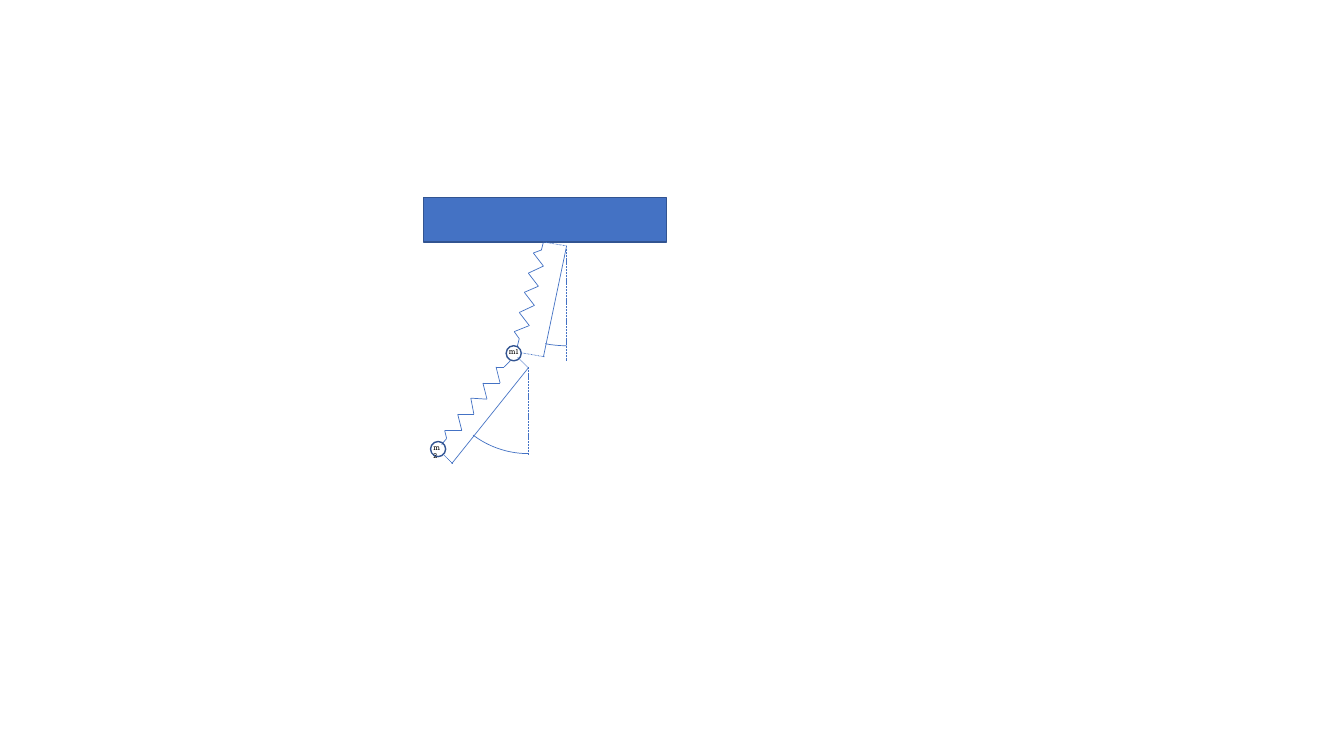
from itertools import pairwise
from lxml.etree import SubElement
from pptx import Presentation
from pptx.dml.color import RGBColor
from pptx.enum.dml import MSO_LINE
from pptx.enum.shapes import MSO_CONNECTOR, MSO_SHAPE
from pptx.enum.text import MSO_AUTO_SIZE
from pptx.oxml.ns import qn
from pptx.util import Pt

PX = 9144
BLUE = RGBColor(0x44, 0x72, 0xC4)
NAVY = RGBColor(0x32, 0x54, 0x91)
BLACK = RGBColor(0, 0, 0)

deck = Presentation()
deck.slide_width = 1333 * PX
deck.slide_height = 750 * PX
slide = deck.slides.add_slide(deck.slide_layouts[6])


def add_line(start, end, dash=None):
    ends = [n * PX for n in (*start, *end)]
    line = slide.shapes.add_connector(MSO_CONNECTOR.STRAIGHT, *ends)
    line.line.color.rgb = BLUE
    line.line.width = Pt(0.5)
    if dash:
        line.line.dash_style = dash
    SubElement(line._element.spPr, qn("a:effectLst"))


def add_form(kind, box, fill, color, width):
    form = slide.shapes.add_shape(kind, *[n * PX for n in box])
    form.shadow.inherit = False
    if fill:
        form.fill.solid()
        form.fill.fore_color.rgb = fill
    else:
        form.fill.background()
    form.line.color.rgb = color
    form.line.width = Pt(width)
    return form


upper = [(539, 240), (537, 248), (529, 251), (539, 264), (524, 271),
         (534, 284), (520, 290), (530, 303), (515, 310), (525, 323),
         (510, 329), (515, 336), (513, 344)]
lower = [(506, 358), (500, 364), (492, 364), (496, 380), (479, 380),
         (483, 396), (467, 395), (470, 411), (454, 411), (458, 427),
         (441, 427), (443, 435), (438, 441)]
for spring in (upper, lower):
    for start, end in pairwise(spring):
        add_line(start, end)

for name, left, top, high, wrap in [("m1", 502, 343, 22, False),
                                    ("m2", 427, 438, 19, True)]:
    add_form(MSO_SHAPE.OVAL, (left, top, 15, 15), None, NAVY, 1)
    label = slide.shapes.add_textbox((left - 7) * PX, (top - 3) * PX,
                                     30 * PX, high * PX)
    frame = label.text_frame
    frame.text = name
    frame.word_wrap = wrap
    frame.auto_size = MSO_AUTO_SIZE.SHAPE_TO_FIT_TEXT
    font = frame.paragraphs[0].runs[0].font
    font.name = "Roboto Slab"
    font.size = Pt(5)
    font.color.rgb = BLACK

add_form(MSO_SHAPE.RECTANGLE, (420, 196, 241, 44), BLUE, NAVY, 1)

for start, end, dash in [
    ((562, 247), (562, 358), MSO_LINE.SQUARE_DOT),
    ((524, 364), (524, 451), MSO_LINE.SQUARE_DOT),
    ((562, 244), (539, 354), None),
    ((448, 460), (524, 365), None),
    ((449, 460), (439, 450), MSO_LINE.ROUND_DOT),
    ((524, 365), (513, 354), MSO_LINE.ROUND_DOT),
    ((562, 244), (539, 240), MSO_LINE.ROUND_DOT),
    ((540, 354), (517, 350), MSO_LINE.ROUND_DOT),
]:
    add_line(start, end, dash)

for left, top, size, stop in [(452, 124, 219, 168.567),
                              (433, 268, 182, 184.232)]:
    arc = add_form(MSO_SHAPE.ARC, (left, top, size, size), None, BLUE, 0.5)
    arc.rotation = 180
    arc.adjustments[0] = 161.881
    arc.adjustments[1] = stop

deck.save("out.pptx")
